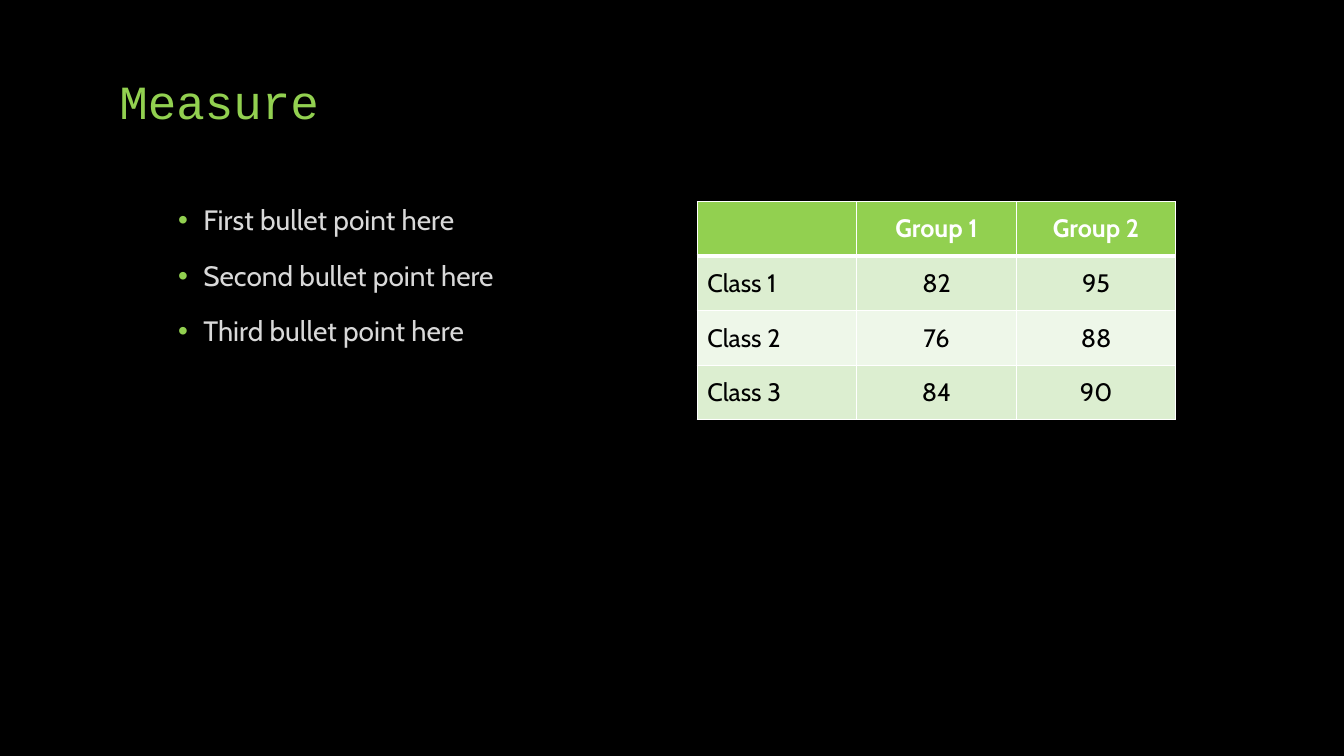
from lxml import etree
from pptx import Presentation
from pptx.dml.color import RGBColor
from pptx.enum.text import MSO_ANCHOR, MSO_AUTO_SIZE, PP_ALIGN
from pptx.oxml.ns import qn
from pptx.util import Pt

LEFT, CENTER = PP_ALIGN.LEFT, PP_ALIGN.CENTER
MIDDLE, BOTTOM = MSO_ANCHOR.MIDDLE, MSO_ANCHOR.BOTTOM
NO_AUTOFIT = MSO_AUTO_SIZE.NONE

COLORS = {
    "background": "000000",
    "accent": "92D050",
    "bullet_text": "D9D9D9",
    "white": "FFFFFF",
    "cell_text": "000000",
    "band_dark": "DCEED0",
    "band_light": "EEF7E9",
}


def set_font(paragraph, name, size, color, bold=False):
    font = paragraph.font
    font.name, font.size, font.bold = name, Pt(size), bold
    font.color.rgb = RGBColor.from_string(COLORS[color])


def add_color(parent, tag, color):
    holder = etree.SubElement(parent, qn(tag))
    etree.SubElement(holder, qn("a:srgbClr"), val=COLORS[color])


prs = Presentation()
prs.slide_width, prs.slide_height = Pt(960), Pt(540)
slide = prs.slides.add_slide(prs.slide_layouts[1])
slide.background.fill.solid()
slide.background.fill.fore_color.rgb = RGBColor.from_string(COLORS["background"])

# Title
title = slide.shapes.title
title.left, title.top, title.width, title.height = Pt(78), Pt(36), Pt(720), Pt(60)
title.text_frame.text = "Measure"
title.text_frame.auto_size = NO_AUTOFIT
title.text_frame.vertical_anchor = BOTTOM
heading = title.text_frame.paragraphs[0]
heading.alignment = LEFT
heading.line_spacing = 0.9
set_font(heading, "Courier New", 34, "accent")

# Bullet list
points = slide.placeholders[1]
points.left, points.top, points.width, points.height = Pt(120), Pt(144), Pt(342), Pt(336)
points.text_frame.text = "\n".join(
    f"{ordinal} bullet point here" for ordinal in ("First", "Second", "Third")
)
points.text_frame.auto_size = NO_AUTOFIT
for index, point in enumerate(points.text_frame.paragraphs):
    properties = point._p.get_or_add_pPr()
    properties.set("marL", str(Pt(18)))
    properties.set("indent", str(-Pt(18)))
    add_color(properties, "a:buClr", "accent")
    etree.SubElement(properties, qn("a:buFont"), typeface="Arial")
    etree.SubElement(properties, qn("a:buChar"), char="•")
    point.line_spacing = 0.9
    point.space_before = Pt(18 if index else 0)
    set_font(point, "Cabin", 20, "bullet_text")

# Score table
scores = [
    ("", "Group 1", "Group 2"),
    ("Class 1", "82", "95"),
    ("Class 2", "76", "88"),
    ("Class 3", "84", "90"),
]
table = slide.shapes.add_table(4, 3, Pt(498), Pt(144), Pt(342), Pt(156)).table
for r, row in enumerate(scores):
    for c, value in enumerate(row):
        cell = table.cell(r, c)
        cell.text = value
        cell.vertical_anchor = MIDDLE
        entry = cell.text_frame.paragraphs[0]
        entry.alignment = CENTER if c else LEFT
        set_font(entry, "Cabin", 18, "cell_text" if r else "white", bold=r == 0)

        # White borders, thicker below the header
        widths = {"L": 1, "R": 1, "T": 3 if r == 1 else 1, "B": 3 if r == 0 else 1}
        cell_properties = cell._tc.get_or_add_tcPr()
        for side, width in widths.items():
            border = etree.SubElement(cell_properties, qn(f"a:ln{side}"), w=str(Pt(width)))
            add_color(border, "a:solidFill", "white")

        band = "accent" if r == 0 else "band_dark" if r % 2 else "band_light"
        cell.fill.solid()
        cell.fill.fore_color.rgb = RGBColor.from_string(COLORS[band])

prs.save("out.pptx")
